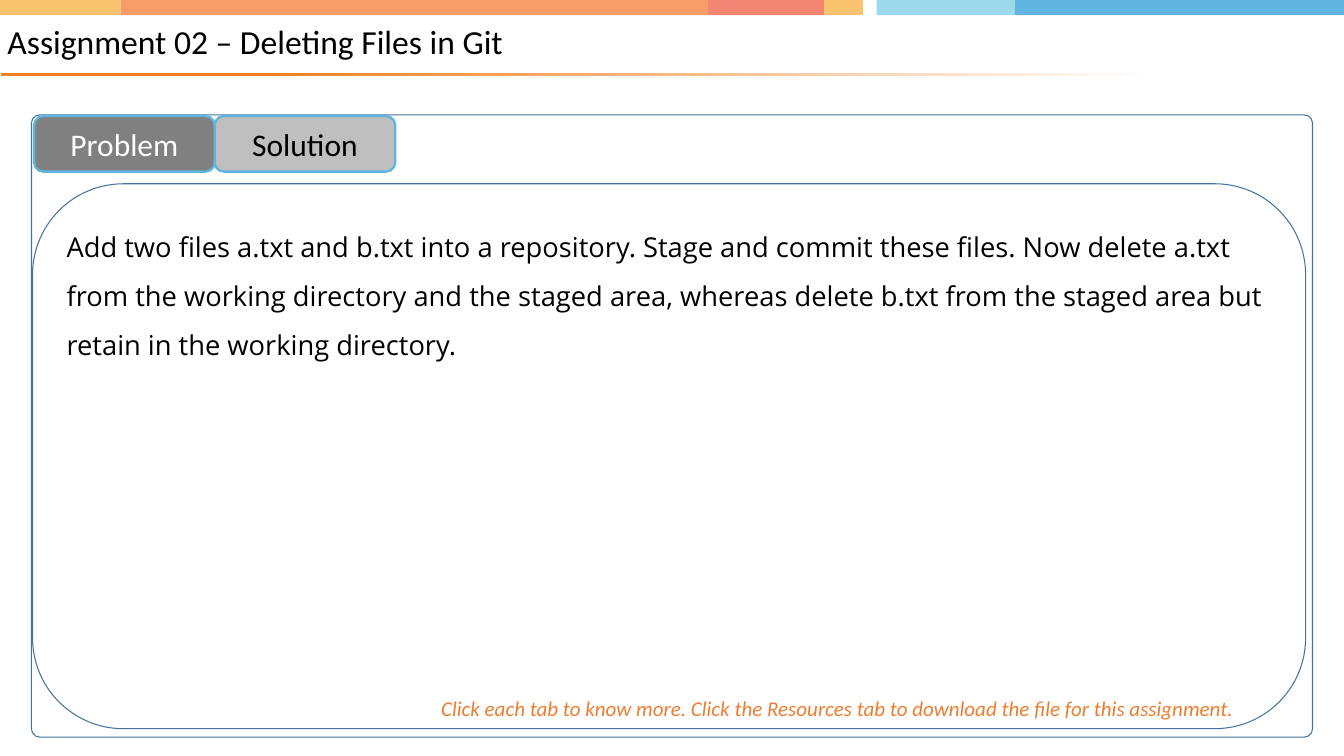
from dataclasses import dataclass
from itertools import pairwise

from pptx import Presentation
from pptx import util as u
from pptx.dml.color import RGBColor
from pptx.enum import shapes, text


@dataclass(frozen=True)
class Theme:
    sand: str = "FAC36F"
    peach: str = "F69E66"
    coral: str = "F38573"
    white: str = "FFFFFF"
    aqua: str = "9CDAEB"
    sky: str = "61B4DF"
    rule: str = "F28020"
    outline: str = "43739E"
    active: str = "808080"
    inactive: str = "BFBFBF"
    hint: str = "ED7D31"
    black: str = "000000"
    heading_font: str = "Calibri"
    body_font: str = "Open Sans"
    title_size: float = 32
    tab_size: float = 30
    body_size: float = 26
    hint_size: float = 20


class Slide:
    def __init__(self, page, theme):
        self.page = page
        self.theme = theme

    def shape(self, kind, place, fill=None, line=None, weight=1):
        box = self.page.shapes.add_shape(kind, *map(u.Pt, place))
        box.shadow.inherit = False
        if fill:
            box.fill.solid()
            box.fill.fore_color.rgb = RGBColor.from_string(fill)
        else:
            box.fill.background()
        if line:
            box.line.color.rgb = RGBColor.from_string(line)
            box.line.width = u.Pt(weight)
        else:
            box.line.fill.background()
        return box

    def set_text(self, box, words, size, color, font=None,
                 anchor=text.MSO_ANCHOR.TOP, align=text.PP_ALIGN.LEFT):
        frame = box.text_frame
        frame.word_wrap = True
        frame.vertical_anchor = anchor
        para = frame.paragraphs[0]
        para.text = words
        para.alignment = align
        para.font.name = font or self.theme.heading_font
        para.font.size = u.Pt(size)
        para.font.color.rgb = RGBColor.from_string(color)
        return para

    def band(self, edges, colors):
        for (left, right), color in zip(pairwise(edges), colors):
            self.shape(shapes.MSO_SHAPE.RECTANGLE, (left, -0.5, right - left, 15), color)

    def fading_rule(self, place):
        rule = self.shape(shapes.MSO_SHAPE.RECTANGLE, place)
        rule.fill.gradient()
        rule.fill.gradient_angle = 0
        ends = ((0.23, self.theme.rule), (1, self.theme.white))
        for stop, (position, color) in zip(rule.fill.gradient_stops, ends):
            stop.position = position
            stop.color.rgb = RGBColor.from_string(color)

    def title(self, place, words):
        box = self.page.shapes.add_textbox(*map(u.Pt, place))
        para = self.set_text(box, words, self.theme.title_size, self.theme.black,
                             anchor=text.MSO_ANCHOR.MIDDLE)
        para.line_spacing = 0.9
        para.space_before = u.Pt(13.3)
        frame = box.text_frame
        frame.margin_right = frame.margin_top = frame.margin_bottom = 0

    def panel(self, place, rounding, words=None):
        box = self.shape(shapes.MSO_SHAPE.ROUNDED_RECTANGLE, place, line=self.theme.outline)
        box.adjustments[0] = rounding
        if words:
            para = self.set_text(box, words, self.theme.body_size, self.theme.black,
                                 self.theme.body_font)
            para.line_spacing = 1.5

    def hint(self, place, words):
        box = self.page.shapes.add_textbox(*map(u.Pt, place))
        para = self.set_text(box, words, self.theme.hint_size, self.theme.hint)
        para.font.italic = True
        box.text_frame.auto_size = text.MSO_AUTO_SIZE.SHAPE_TO_FIT_TEXT

    def tab(self, place, words, fill, color):
        box = self.shape(shapes.MSO_SHAPE.ROUNDED_RECTANGLE, place, fill, self.theme.sky, 2.25)
        self.set_text(box, words, self.theme.tab_size, color,
                      anchor=text.MSO_ANCHOR.MIDDLE, align=text.PP_ALIGN.CENTER)


def main():
    deck = Presentation()
    deck.slide_width, deck.slide_height = u.Pt(1280), u.Pt(720)
    theme = Theme()
    slide = Slide(deck.slides.add_slide(deck.slide_layouts[6]), theme)

    slide.band(
        (0, 115, 674.5, 785, 822, 835, 966.5, 1280),
        (theme.sand, theme.peach, theme.coral, theme.sand, theme.white, theme.aqua, theme.sky),
    )
    slide.fading_rule((0.5, 69.3, 1105, 3))
    slide.title((0, 15, 1047.5, 52.5), "Assignment 02 – Deleting Files in Git")

    slide.panel((30, 109.5, 1220, 592.5), 0.013)
    slide.panel(
        (31, 175, 1212.5, 519),
        0.1667,
        "Add two files a.txt and b.txt into a repository. Stage and commit these files. "
        "Now delete a.txt from the working directory and the staged area, whereas delete "
        "b.txt from the staged area but retain in the working directory.",
    )
    slide.hint(
        (413, 659, 792, 31.5),
        "Click each tab to know more. Click the Resources tab to download the file for this assignment.",
    )

    left, width = 32.5, 172
    tabs = (
        (1, "Solution", theme.inactive, theme.black),
        (0, "Problem", theme.active, theme.white),
    )
    for column, words, fill, color in tabs:
        slide.tab((left + column * width, 110.5, width, 53), words, fill, color)

    deck.save("out.pptx")


if __name__ == "__main__":
    main()
